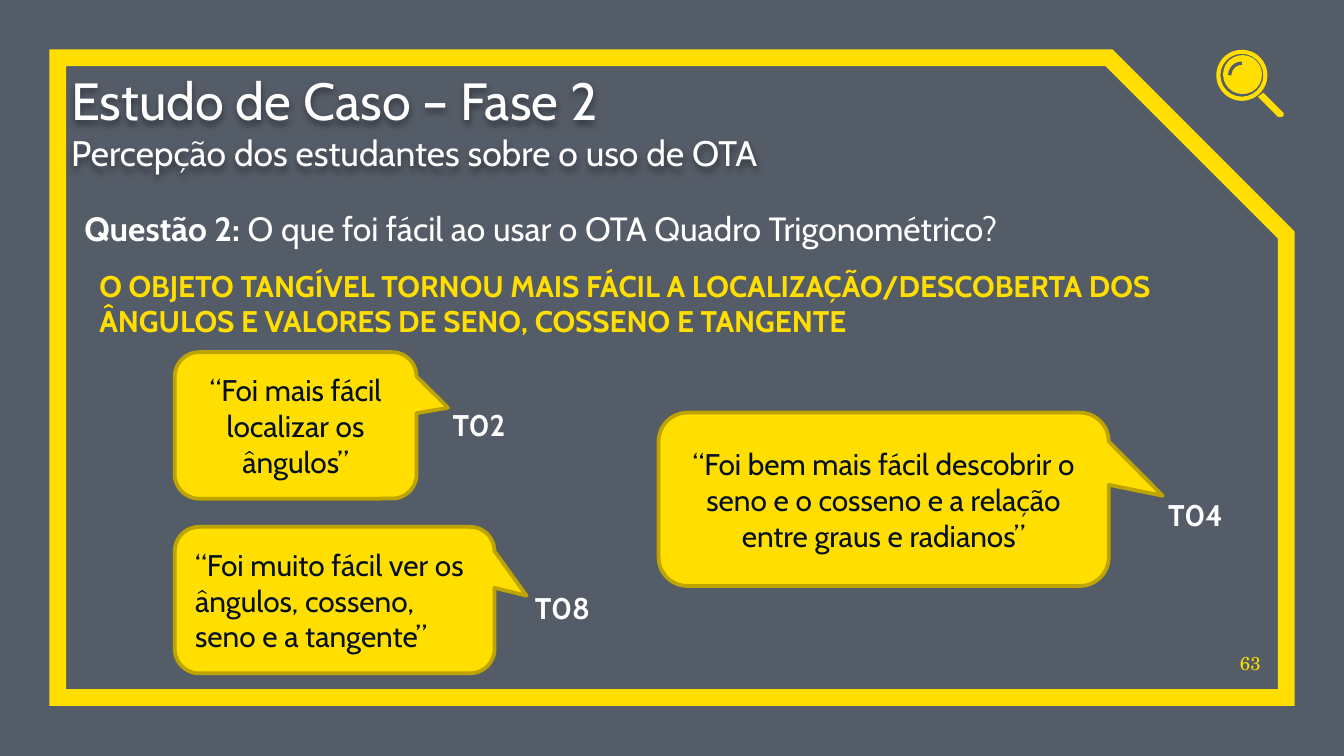
from lxml import etree
from pptx import Presentation, util as u
from pptx.dml.color import RGBColor
from pptx.enum import shapes, text
from pptx.oxml.ns import qn

WHITE = RGBColor(0xFF, 0xFF, 0xFF)
YELLOW = RGBColor(0xFF, 0xDE, 0x00)
OLIVE = RGBColor(0xBD, 0xA4, 0x00)
NAVY = RGBColor(0x04, 0x0F, 0x20)
SLATE = RGBColor(0x54, 0x5C, 0x67)

SLIDE_WIDTH = 10
SLIDE_HEIGHT = SLIDE_WIDTH * 9 / 16

SHAPE = shapes.MSO_SHAPE
LEFT, CENTER, RIGHT = text.PP_ALIGN.LEFT, text.PP_ALIGN.CENTER, text.PP_ALIGN.RIGHT
BOTTOM, MIDDLE = text.MSO_ANCHOR.BOTTOM, text.MSO_ANCHOR.MIDDLE

BODY = {"name": "Cabin", "size": u.Pt(16), "bold": False, "color": WHITE}
TITLE = BODY | {"size": u.Pt(28)}
SUBTITLE = BODY | {"size": u.Pt(19)}
QUESTION = BODY | {"size": u.Pt(18)}
QUESTION_LABEL = QUESTION | {"bold": True}
FINDING = BODY | {"bold": True, "color": YELLOW}
QUOTE = BODY | {"color": NAVY}
STUDENT = BODY | {"bold": True}
PAGE_NUMBER = {"name": "TeX Gyre Schola", "size": u.Pt(10), "color": YELLOW}

FLUSH = dict.fromkeys(("margin_left", "margin_top", "margin_right", "margin_bottom"), 0)
GROW = {"auto_size": text.MSO_AUTO_SIZE.SHAPE_TO_FIT_TEXT}


def inches(box):
    return [u.Inches(value) for value in box]


def write(shape, paragraphs, align=LEFT, **frame_format):
    frame = shape.text_frame
    for name, value in ({"word_wrap": True} | frame_format).items():
        setattr(frame, name, value)
    for index, runs in enumerate(paragraphs):
        paragraph = frame.add_paragraph() if index else frame.paragraphs[0]
        paragraph.alignment = align
        for words, style in runs:
            run = paragraph.add_run()
            run.text = words
            for name, value in style.items():
                if name == "color":
                    run.font.color.rgb = value
                else:
                    setattr(run.font, name, value)


def add_text(slide, box, paragraphs, align=LEFT, **frame_format):
    shape = slide.shapes.add_textbox(*inches(box))
    write(shape, paragraphs, align, **frame_format)
    return shape


def paint(shape, fill=None, line=None, width=0):
    shape.shadow.inherit = False
    if fill is None:
        shape.fill.background()
    else:
        shape.fill.solid()
        shape.fill.fore_color.rgb = fill
    if line is None:
        shape.line.fill.background()
    else:
        shape.line.color.rgb = line
        shape.line.width = u.Pt(width)


def add_preset(slide, kind, box, adjustments=(), **colours):
    shape = slide.shapes.add_shape(kind, *inches(box))
    for index, value in enumerate(adjustments):
        shape.adjustments[index] = value
    paint(shape, **colours)
    return shape


def add_backdrop(slide, box):
    backdrop = add_preset(slide, SHAPE.RECTANGLE, box, fill=NAVY)
    colour = backdrop.fill._xPr.find(".//" + qn("a:srgbClr"))
    etree.SubElement(colour, qn("a:alpha"), val="68000")


def add_frame(slide, box):
    frame = add_preset(slide, SHAPE.SNIP_1_RECTANGLE, box, [0.277], line=YELLOW, width=9)
    outline = frame.line._get_or_add_ln()
    etree.SubElement(outline, qn("a:miter"), lim="800000")


def add_magnifier(slide, box):
    left, top, width, height = box
    lens = 0.38
    add_preset(slide, SHAPE.DONUT, (left, top, lens, lens), [0.08], fill=YELLOW)
    add_preset(slide, SHAPE.OVAL, (left + 0.05, top + 0.04, 0.29, 0.29), fill=YELLOW)
    add_preset(slide, SHAPE.ARC, (left + 0.1, top + 0.1, 0.18, 0.18), [108, 162],
               line=SLATE, width=1.75)
    right, bottom = left + width, top + height
    corners = [(left + 0.35, top + 0.32), (right, bottom - 0.03), (right, bottom - 0.01),
               (right - 0.01, bottom), (right - 0.04, bottom), (left + 0.31, top + 0.35)]
    points = [inches(corner) for corner in corners]
    builder = slide.shapes.build_freeform(*points[0])
    builder.add_line_segments(points[1:])
    paint(builder.convert_to_shape(), fill=YELLOW)


def add_title(slide, box):
    title = add_text(slide, box, [[("Estudo de Caso – Fase 2", TITLE)],
                                  [("Percepção dos estudantes sobre o uso de OTA", SUBTITLE)]],
                     vertical_anchor=BOTTOM, **FLUSH)
    effects = etree.SubElement(title._element.spPr, qn("a:effectLst"))
    shadow = etree.SubElement(effects, qn("a:outerShdw"), blurRad="38100", dist="25400",
                              dir="5400000", algn="tl")
    colour = etree.SubElement(shadow, qn("a:srgbClr"), val="000000")
    etree.SubElement(colour, qn("a:alpha"), val="40000")


def add_quote(slide, box, pointer, words, student, label_offset, align=CENTER):
    callout = add_preset(slide, SHAPE.ROUNDED_RECTANGULAR_CALLOUT, box, [*pointer, 0.167],
                         fill=YELLOW, line=OLIVE, width=2)
    write(callout, [[(words, QUOTE)]], align, vertical_anchor=MIDDLE)
    label_box = (box[0] + label_offset[0], box[1] + label_offset[1], 0.63, 0.37)
    add_text(slide, label_box, [[(student, STUDENT)]], CENTER, **GROW)


def main():
    presentation = Presentation()
    presentation.slide_width, presentation.slide_height = inches((SLIDE_WIDTH, SLIDE_HEIGHT))
    slide = presentation.slides.add_slide(presentation.slide_layouts[6])

    add_backdrop(slide, (0, 0, SLIDE_WIDTH, SLIDE_HEIGHT))
    add_frame(slide, (0.43, 0.43, 9.14, 4.76))
    add_text(slide, (9.11, 4.74, 0.27, 0.28), [[("63", PAGE_NUMBER)]], RIGHT,
             vertical_anchor=BOTTOM, **FLUSH)
    add_magnifier(slide, (9.05, 0.37, 0.5, 0.5))
    add_title(slide, (0.53, 0.54, 8.41, 0.75))
    add_text(slide, (0.53, 1.5, 8.07, 0.4),
             [[("Questão 2: ", QUESTION_LABEL),
               ("O que foi fácil ao usar o OTA Quadro Trigonométrico?", QUESTION)]], **GROW)
    add_text(slide, (0.64, 1.94, 8.72, 0.64),
             [[("O OBJETO TANGÍVEL TORNOU MAIS FÁCIL A LOCALIZAÇÃO/DESCOBERTA DOS "
                "ÂNGULOS E VALORES DE SENO, COSSENO E TANGENTE", FINDING)]], **GROW)
    add_quote(slide, (1.3, 2.62, 1.8, 1.09), (0.63, -0.12),
              "“Foi mais fácil localizar os ângulos”", "T02", (1.95, 0.36))
    add_quote(slide, (4.9, 3.07, 3.35, 1.29), (0.62, -0.02),
              "“Foi bem mais fácil descobrir o seno e o cosseno e a relação entre graus e radianos”",
              "T04", (3.68, 0.58))
    add_quote(slide, (1.3, 3.92, 2.38, 1.09), (0.6, -0.03),
              "“Foi muito fácil ver os ângulos, cosseno, seno e a tangente”",
              "T08", (2.57, 0.42), LEFT)

    presentation.save("out.pptx")


if __name__ == "__main__":
    main()
